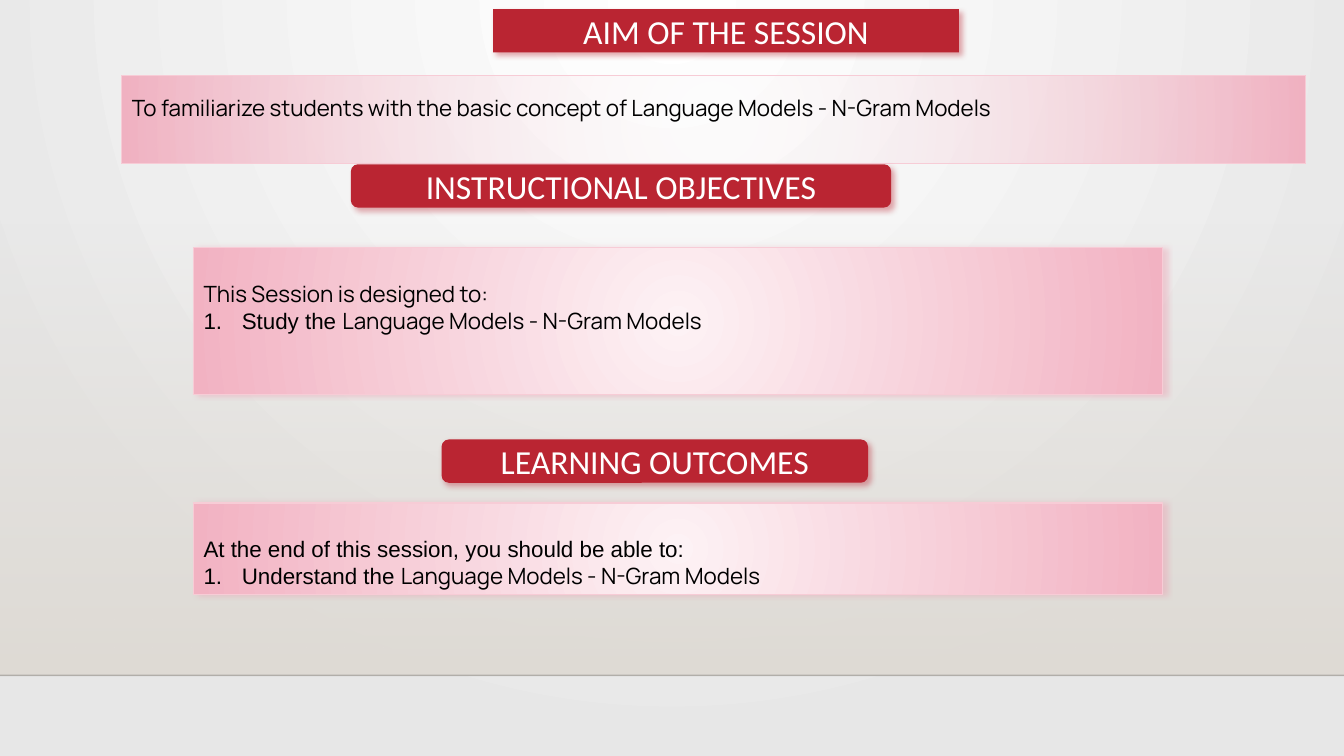
from lxml import etree
from pptx import Presentation
from pptx.dml.color import RGBColor
from pptx.enum import shapes as kinds, text as txt
from pptx.oxml import ns
from pptx.util import Inches, Pt

RED = RGBColor(0xBA, 0x25, 0x32)
WHITE = RGBColor(0xFF, 0xFF, 0xFF)
BLACK = RGBColor(0, 0, 0)
INK = RGBColor(0, 0, 1)
MIST = RGBColor(0xE7, 0xE7, 0xE7)
SAND = RGBColor(0xDF, 0xDB, 0xD5)
BLUSH = RGBColor(0xFD, 0xF2, 0xF5)
PINK = RGBColor(0xF2, 0xB2, 0xC2)
EDGE = RGBColor(0xF7, 0xCC, 0xD6)
ROSE = RGBColor(0xEE, 0x99, 0xAD)
CENTER = (50, 50, 50, 50)
TOPIC = ("Language Models - N-Gram Models", "Manrope")


def sub(parent, tag, **attrs):
    node = etree.SubElement(parent, ns.qn("a:" + tag))
    for key, value in attrs.items():
        node.set(key, str(value))
    return node


def tint(parent, color, alpha=100):
    node = sub(parent, "srgbClr", val=color)
    if alpha < 100:
        sub(node, "alpha", val=alpha * 1000)


def blend(holder, start, end, alpha=100, focus=None):
    """Swap a solid fill for a gradient: circular with a focus, else downward."""
    solid = holder.find(ns.qn("a:solidFill"))
    grad = etree.Element(ns.qn("a:gradFill"), rotWithShape="1")
    stops = sub(grad, "gsLst")
    tint(sub(stops, "gs", pos=0), start, alpha)
    tint(sub(stops, "gs", pos=100000), end)
    if focus:
        way = sub(grad, "path", path="circle")
        sub(way, "fillToRect", **{k: v * 1000 for k, v in zip("ltrb", focus)})
    else:
        sub(grad, "lin", ang=90 * 60000, scaled=0)
    holder.replace(solid, grad)


def shade(shape, color, angle):
    shape.shadow.inherit = False
    effects = shape._element.spPr.find(ns.qn("a:effectLst"))
    drop = sub(effects, "outerShdw", blurRad=Pt(4), dist=Pt(3),
               dir=angle * 60000, algn="tl", rotWithShape=0)
    tint(drop, color, 40)


def style(run, font, size, color):
    run.font.name = font
    run.font.size = Pt(size)
    run.font.color.rgb = color


def place(shape, box):
    shape.left, shape.top, shape.width, shape.height = map(Inches, box)


def backdrop(slide, box):
    # Page gradient
    slide.background.fill.solid()
    slide.background.fill.fore_color.rgb = WHITE
    page = slide._element.find(".//" + ns.qn("p:bgPr"))
    blend(page, WHITE, MIST, focus=(43, 0, 43, 100))
    # Sand band
    left, top, width, height = map(Inches, box)
    band = slide.shapes.add_shape(kinds.MSO_SHAPE.RECTANGLE, left, top, width, height)
    band.shadow.inherit = False
    band.fill.solid()
    band.line.fill.background()
    blend(band._element.spPr, SAND, SAND, alpha=0)
    # Floor line
    floor = slide.shapes.add_connector(kinds.MSO_CONNECTOR.STRAIGHT, left, top + height,
                                       left + width, top + height)
    floor.line.width = Pt(1)
    floor.line.color.rgb = INK
    ink = floor._element.spPr.find(".//" + ns.qn("a:srgbClr"))
    sub(ink, "alpha", val=20000)
    sub(floor._element.spPr, "effectLst")


def banner(slide, label, box, title=False):
    if title:
        shape = slide.shapes.title
        place(shape, box)
        sub(sub(shape._element.spPr, "prstGeom", prst="roundRect"), "avLst")
    else:
        shape = slide.shapes.add_shape(kinds.MSO_SHAPE.ROUNDED_RECTANGLE,
                                       *map(Inches, box))
    shape.fill.solid()
    shape.fill.fore_color.rgb = RED
    shape.line.fill.background()
    shade(shape, RED, 45)
    frame = shape.text_frame
    frame.text = label
    frame.word_wrap = True
    frame.auto_size = txt.MSO_AUTO_SIZE.NONE
    frame.vertical_anchor = txt.MSO_ANCHOR.MIDDLE
    para = frame.paragraphs[0]
    para.alignment = txt.PP_ALIGN.CENTER
    style(para.runs[0], "Calibri", 24, WHITE)


def number(para):
    props = para._p.get_or_add_pPr()
    props.set("marL", str(Inches(0.38)))
    props.set("indent", str(-Inches(0.38)))
    sub(props, "buFont", typeface="Arial")
    sub(props, "buAutoNum", type="arabicPeriod")


def panel(slide, lead, font, box, item=None, spacing=2.0):
    """Pink panel with a lead line and, if given, one numbered item."""
    shape = slide.shapes.add_shape(kinds.MSO_SHAPE.RECTANGLE, *map(Inches, box))
    shape.fill.solid()
    shape.line.color.rgb = EDGE
    shape.line.width = Pt(0.75)
    blend(shape._element.spPr, BLUSH, PINK, 100 if item else 0, CENTER)
    if item:
        shade(shape, ROSE, 0)
    else:
        shape.shadow.inherit = False
    frame = shape.text_frame
    frame.word_wrap = True
    frame.vertical_anchor = txt.MSO_ANCHOR.TOP
    para = frame.paragraphs[0]
    para.text = lead
    para.line_spacing = spacing
    para.alignment = txt.PP_ALIGN.LEFT
    style(para.runs[0], font, 16, BLACK)
    if item:
        para = frame.add_paragraph()
        number(para)
        para.alignment = txt.PP_ALIGN.LEFT
        for words, face in ((item, "Arial"), TOPIC):
            run = para.add_run()
            run.text = words
            style(run, face, 16, BLACK)


def main():
    deck = Presentation()
    deck.slide_width, deck.slide_height = Inches(13.33), Inches(7.5)
    slide = deck.slides.add_slide(deck.slide_layouts[5])
    backdrop(slide, (0, 2.21, 13.33, 4.49))
    # Aim
    banner(slide, "AIM OF THE SESSION", (4.89, 0.09, 4.62, 0.43), title=True)
    panel(slide, "To familiarize students with the basic concept of " + TOPIC[0],
          "Manrope", (1.21, 0.75, 11.74, 0.87), spacing=1.5)
    # Objectives
    banner(slide, "INSTRUCTIONAL OBJECTIVES", (3.48, 1.63, 5.36, 0.43))
    panel(slide, "This Session is designed to:", "Manrope",
          (1.92, 2.46, 9.61, 1.45), "Study the ")
    # Outcomes
    banner(slide, "LEARNING OUTCOMES", (4.38, 4.36, 4.23, 0.43))
    panel(slide, "At the end of this session, you should be able to:", "Arial",
          (1.92, 4.99, 9.61, 0.91), "Understand the ")
    deck.save("out.pptx")


if __name__ == "__main__":
    main()
